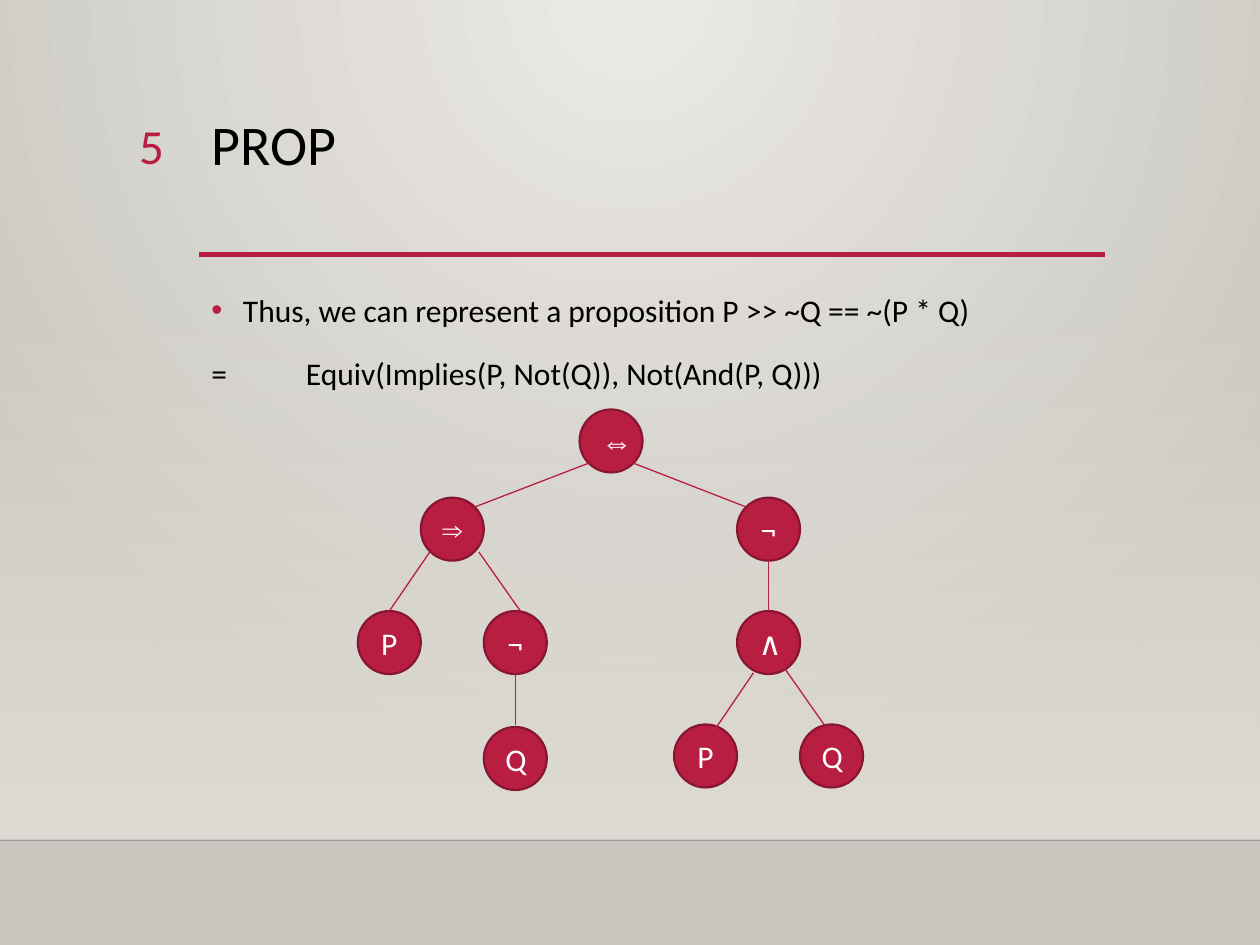
import dataclasses

import lxml.etree
import pptx
import pptx.dml.color
import pptx.enum.shapes
import pptx.enum.text
import pptx.oxml.ns
import pptx.util

COLUMNS, ROWS = 100, 75
CELL = pptx.util.Inches(0.1)


@dataclasses.dataclass(frozen=True)
class Theme:
    accent: str = "B71E42"
    accent_dark: str = "871631"
    text: str = "000000"
    node_text: str = "FFFFFF"
    glow: str = "ECEAE7"
    shade: str = "CAC7C1"
    wall: str = "DFDBD5"
    floor_line: str = "000001"
    font: str = "Calibri"
    symbol_font: str = "Times New Roman"
    logic_font: str = "Cambria"
    title_size: int = 32
    number_size: int = 28
    body_size: int = 18
    arrow_size: int = 16


@dataclasses.dataclass(frozen=True)
class Box:
    """A region measured in grid columns and rows."""
    left: float
    top: float
    width: float
    height: float

    def lengths(self):
        return [round(value * CELL) for value in dataclasses.astuple(self)]


THEME = Theme()
PAGE = Box(0, 0, COLUMNS, ROWS)

# key: label, column and row in node diameters, font, size
NODES = {
    "equivalence": ("⇔", 3.52, 0, THEME.symbol_font, THEME.body_size),
    "implication": ("⇒", 1, 1.4, THEME.symbol_font, THEME.arrow_size),
    "right not": ("¬", 6.02, 1.4, THEME.font, THEME.body_size),
    "left P": ("P", 0, 3.2, THEME.font, THEME.body_size),
    "left not": ("¬", 2, 3.2, THEME.font, THEME.body_size),
    "conjunction": ("∧", 6.02, 3.2, THEME.logic_font, THEME.body_size),
    "left Q": ("Q", 2, 5.04, THEME.font, THEME.body_size),
    "right P": ("P", 5.02, 5, THEME.font, THEME.body_size),
    "right Q": ("Q", 7.02, 5, THEME.font, THEME.body_size),
}
# parent, child, then where the edge meets each, as shares of a node
EDGES = [
    ("equivalence", "implication", (0.15, 0.85), (0.85, 0.15)),
    ("equivalence", "right not", (0.85, 0.85), (0.15, 0.15)),
    ("implication", "left P", (0.15, 0.85), (0.5, 0)),
    ("implication", "left not", (0.92, 0.86), (0.58, 0)),
    ("right not", "conjunction", (0.5, 1), (0.5, 0)),
    ("left not", "left Q", (0.5, 1), (0.5, -0.04)),
    ("conjunction", "right P", (0.26, 0.98), (0.62, 0.12)),
    ("conjunction", "right Q", (0.72, 0.86), (0.38, 0)),
]


def rgb(value):
    return pptx.dml.color.RGBColor.from_string(value)


def add_element(parent, tag, **attributes):
    return lxml.etree.SubElement(parent, pptx.oxml.ns.qn(tag), attributes)


def find(element, tag):
    return next(element.iter(pptx.oxml.ns.qn(tag)))


def set_attributes(target, **values):
    for name, value in values.items():
        setattr(target, name, value)


def set_gradient(fill, *colors):
    fill.gradient()
    for stop, color in zip(fill.gradient_stops, colors):
        stop.color.rgb = rgb(color)


def write(paragraph, text, size, color, font=THEME.font, **formats):
    run = paragraph.add_run()
    run.text = text
    set_attributes(run.font, size=pptx.util.Pt(size), name=font)
    run.font.color.rgb = rgb(color)
    set_attributes(paragraph, **formats)


def add_text_frame(slide, box):
    frame = slide.shapes.add_textbox(*box.lengths()).text_frame
    frame.word_wrap = True
    return frame


def add_line(slide, start, end, color, width):
    points = [round(value * CELL) for value in (*start, *end)]
    line = slide.shapes.add_connector(
        pptx.enum.shapes.MSO_CONNECTOR.STRAIGHT, *points)
    line.line.color.rgb = rgb(color)
    line.line.width = pptx.util.Pt(width)
    add_element(find(line.element, "p:spPr"), "a:effectLst")
    return line


def add_backdrop(slide, box):
    """Round glow from the top, a wall fading in, and the floor line."""
    set_gradient(slide.background.fill, THEME.glow, THEME.shade)
    gradient = find(slide.element, "a:gradFill")
    gradient.remove(find(gradient, "a:lin"))
    circle = add_element(gradient, "a:path", path="circle")
    add_element(circle, "a:fillToRect", l="43000", t="0", r="43000", b="100000")

    floor = box.top + 66.7
    wall_box = Box(box.left, box.top + 22, box.width, 44.6)
    wall = slide.shapes.add_shape(
        pptx.enum.shapes.MSO_SHAPE.RECTANGLE, *wall_box.lengths())
    wall.shadow.inherit = False
    wall.line.fill.background()
    set_gradient(wall.fill, THEME.wall, THEME.wall)
    wall.fill.gradient_angle = 270
    add_element(find(wall.element, "a:srgbClr"), "a:alpha", val="0")

    line = add_line(slide, (box.left, floor), (box.left + box.width, floor),
                    THEME.floor_line, 1)
    add_element(find(line.element, "a:srgbClr"), "a:alpha", val="20000")


def add_heading(slide, box):
    rule = box.top + box.height - 0.1
    add_line(slide, (box.left, rule), (box.left + box.width, rule),
             THEME.accent, 2.5)
    write(add_text_frame(slide, box).paragraphs[0], "PROP",
          THEME.title_size, THEME.text, line_spacing=0.9)
    number_box = Box(box.left - 10.5, box.top - 0.1, 8.7, 5.5)
    write(add_text_frame(slide, number_box).paragraphs[0], "5",
          THEME.number_size, THEME.accent,
          alignment=pptx.enum.text.PP_ALIGN.RIGHT)


def add_body(slide, box):
    frame = add_text_frame(slide, box)
    formats = {"line_spacing": 1.2, "space_before": pptx.util.Pt(10)}
    bullet, formula = frame.paragraphs[0], frame.add_paragraph()
    write(bullet, "Thus, we can represent a proposition P >> ~Q == ~(P * Q)",
          THEME.body_size, THEME.text, **formats)
    write(formula, "=\tEquiv(Implies(P, Not(Q)), Not(And(P, Q)))",
          THEME.body_size, THEME.text, **formats)

    indent = pptx.util.Inches(0.25)
    properties = find(bullet._p, "a:pPr")
    properties.set("marL", str(indent))
    properties.set("indent", str(-indent))
    bullet_color = add_element(properties, "a:buClr")
    add_element(bullet_color, "a:srgbClr", val=THEME.accent)
    add_element(properties, "a:buFont", typeface="Arial")
    add_element(properties, "a:buChar", char="•")
    tabs = add_element(find(formula._p, "a:pPr"), "a:tabLst")
    add_element(tabs, "a:tab", pos=str(3 * indent), algn="l")


def add_tree(slide, box, diameter):
    """Syntax tree whose nodes lie on a grid of node diameters."""
    def place(key, share=(0, 0)):
        _, column, row, *_ = NODES[key]
        return (box.left + (column + share[0]) * diameter,
                box.top + (row + share[1]) * diameter)

    for key, (label, _, _, font, size) in NODES.items():
        node = slide.shapes.add_shape(
            pptx.enum.shapes.MSO_SHAPE.FLOWCHART_CONNECTOR,
            *Box(*place(key), diameter, diameter).lengths())
        node.shadow.inherit = False
        node.fill.solid()
        node.fill.fore_color.rgb = rgb(THEME.accent)
        node.line.color.rgb = rgb(THEME.accent_dark)
        node.line.width = pptx.util.Pt(1.25)
        node.text_frame.vertical_anchor = pptx.enum.text.MSO_ANCHOR.MIDDLE
        write(node.text_frame.paragraphs[0], label, size, THEME.node_text,
              font, alignment=pptx.enum.text.PP_ALIGN.CENTER)
    for parent, child, start, end in EDGES:
        add_line(slide, place(parent, start), place(child, end),
                 THEME.accent, 0.75)


def main():
    presentation = pptx.Presentation()
    set_attributes(presentation, slide_width=COLUMNS * CELL,
                   slide_height=ROWS * CELL)
    slide = presentation.slides.add_slide(presentation.slide_layouts[6])
    add_backdrop(slide, PAGE)
    add_heading(slide, Box(15.8, 8.8, 71.9, 11.5))
    add_body(slide, Box(15.8, 22, 75.9, 43.3))
    add_tree(slide, Box(28.4, 32.5, 40.1, 30.2), diameter=5)
    presentation.save("out.pptx")


if __name__ == "__main__":
    main()
